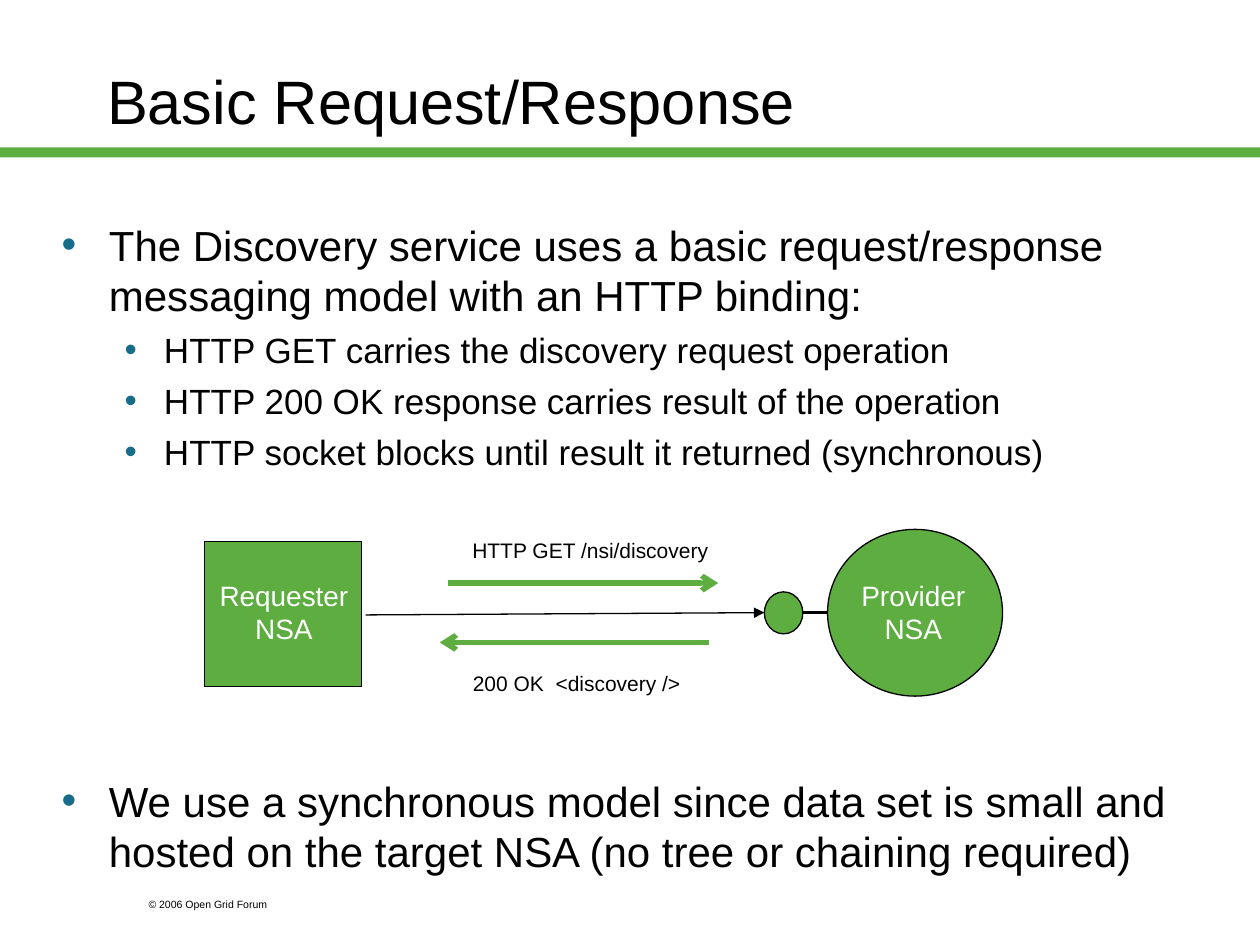
from pptx import Presentation
from pptx import util as u
from pptx.dml.color import RGBColor
from pptx.enum import shapes, text
from pptx.oxml.ns import qn
from lxml import etree

GREEN, BLACK, WHITE, TEAL = "5DAD41", "000000", "FFFFFF", "176D89"
Pt = u.Pt


def color(target, value):
    if hasattr(target, "solid"):
        target.solid()
        target = target.fore_color
    target.rgb = RGBColor.from_string(value)


def add_run(p, words, size, value):
    r = p.add_run()
    r.text = words
    r.font.size = Pt(size)
    r.font.name = "Arial"
    color(r.font.color, value)


prs = Presentation()
prs.slide_width, prs.slide_height = Pt(720), Pt(540)
s = prs.slides.add_slide(prs.slide_layouts[1])

rule = s.shapes.add_shape(shapes.MSO_SHAPE.RECTANGLE, Pt(0), Pt(84.2), Pt(720), Pt(5.8))
rule.shadow.inherit = False
color(rule.fill, GREEN)
rule.line.fill.background()

title = s.shapes.title
title.left, title.top, title.width, title.height = Pt(54), Pt(12.2), Pt(612), Pt(90)
tf = title.text_frame
tf.auto_size = text.MSO_AUTO_SIZE.NONE
tf.vertical_anchor = text.MSO_ANCHOR.MIDDLE
p = tf.paragraphs[0]
p.alignment = text.PP_ALIGN.LEFT
add_run(p, "Basic Request/Response", 35, BLACK)

body = s.placeholders[1]
body.left, body.top, body.width, body.height = Pt(28), Pt(121.7), Pt(678), Pt(387.4)
tf = body.text_frame
tf.auto_size = text.MSO_AUTO_SIZE.NONE
bullets = [
    (0, 0, "The Discovery service uses a basic request/response messaging model with an HTTP binding:"),
    (1, 5, "HTTP GET carries the discovery request operation"),
    (1, 5, "HTTP 200 OK response carries result of the operation"),
    (1, 5, "HTTP socket blocks until result it returned (synchronous)"),
    (0, 173, "We use a synchronous model since data set is small and hosted on the target NSA "
             "(no tree or chaining required)"),
]
for i, (level, before, words) in enumerate(bullets):
    p = tf.add_paragraph() if i else tf.paragraphs[0]
    p.level = level
    pPr = p._p.get_or_add_pPr()
    margin, hang = [(27, 27), (58.5, 22.5)][level]
    pPr.set("marL", str(Pt(margin)))
    pPr.set("indent", str(-Pt(hang)))
    buClr = etree.SubElement(pPr, qn("a:buClr"))
    etree.SubElement(buClr, qn("a:srgbClr"), val=TEAL)
    etree.SubElement(pPr, qn("a:buFont"), typeface="Arial")
    etree.SubElement(pPr, qn("a:buChar"), char="•")
    p.space_before = Pt(before)
    add_run(p, words, [24, 20][level], BLACK)

nodes = [
    (shapes.MSO_SHAPE.RECTANGLE, 116.8, 309.5, 90, 83),
    (shapes.MSO_SHAPE.OVAL, 436.8, 338.2, 22, 24),
    (shapes.MSO_SHAPE.OVAL, 472.9, 302.5, 100, 95.3),
]
for kind, x, y, w, h in nodes:
    sp = s.shapes.add_shape(kind, Pt(x), Pt(y), Pt(w), Pt(h))
    sp.shadow.inherit = False
    color(sp.fill, GREEN)
    color(sp.line.fill, BLACK)
    sp.line.width = Pt(0.75)

lines = [
    (256.3, 333.2, 410.4, 333.2, GREEN, 3, "tailEnd", "arrow"),
    (251.3, 367.1, 405.4, 367.1, GREEN, 3, "headEnd", "arrow"),
    (209, 351.4, 436.8, 350.1, BLACK, 0.75, "tailEnd", "triangle"),
    (458.8, 350.1, 472.9, 350.1, BLACK, 2, None, None),
]
for x1, y1, x2, y2, value, width, end, arrow in lines:
    c = s.shapes.add_connector(shapes.MSO_CONNECTOR.STRAIGHT, Pt(x1), Pt(y1), Pt(x2), Pt(y2))
    color(c.line.fill, value)
    c.line.width = Pt(width)
    if end:
        etree.SubElement(c.line._get_or_add_ln(), qn("a:" + end), type=arrow)
    etree.SubElement(c._element.spPr, qn("a:effectLst"))

LEFT, CENTER, RIGHT = text.PP_ALIGN.LEFT, text.PP_ALIGN.CENTER, text.PP_ALIGN.RIGHT
labels = [
    (77.8, 509.8, 108, 14.4, 6, BLACK, LEFT, True, ["© 2006 Open Grid Forum"]),
    (262.1, 303.8, 149.8, 21.6, 12, BLACK, RIGHT, False, ["HTTP GET /nsi/discovery"]),
    (262.8, 379.4, 133.2, 21.6, 12, BLACK, RIGHT, False, ["200 OK  <discovery />"]),
    (105.8, 326.9, 113, 46, 16, WHITE, CENTER, True, ["Requester", "NSA"]),
    (465.8, 326.9, 112.3, 46, 16, WHITE, CENTER, True, ["Provider", "NSA"]),
]
for x, y, w, h, size, value, align, wrap, rows in labels:
    tf = s.shapes.add_textbox(Pt(x), Pt(y), Pt(w), Pt(h)).text_frame
    tf.word_wrap = wrap
    tf.auto_size = text.MSO_AUTO_SIZE.SHAPE_TO_FIT_TEXT
    for i, words in enumerate(rows):
        p = tf.add_paragraph() if i else tf.paragraphs[0]
        p.alignment = align
        add_run(p, words, size, value)

prs.save("out.pptx")
